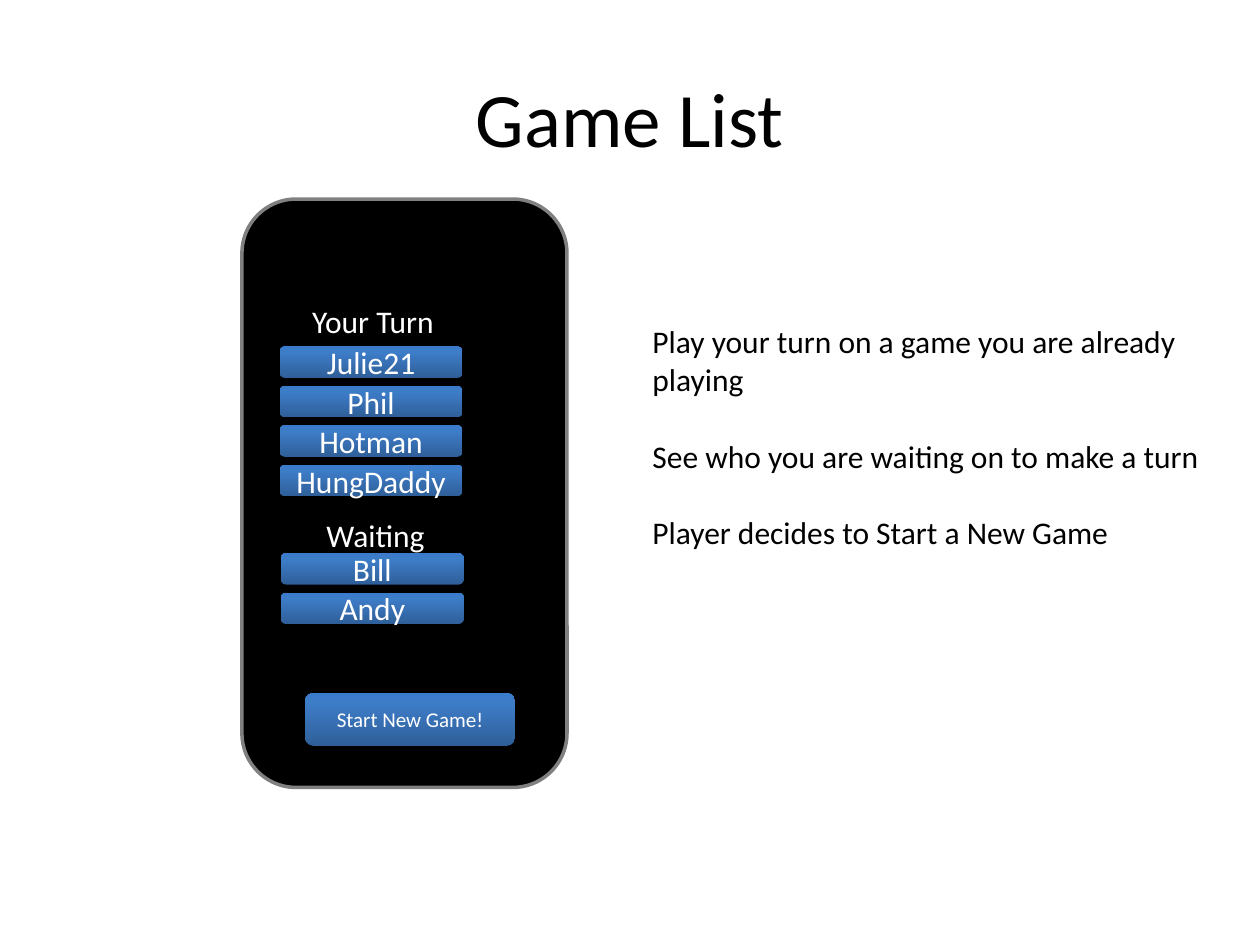
from lxml.etree import SubElement
from pptx import Presentation
from pptx.dml.color import RGBColor
from pptx.enum.shapes import MSO_SHAPE
from pptx.enum.text import MSO_ANCHOR, MSO_AUTO_SIZE, PP_ALIGN
from pptx.oxml.ns import qn
from pptx.util import Inches, Pt

# Content
TITLE = "Game List"
NOTES = [
    "Play your turn on a game you are already playing",
    "See who you are waiting on to make a turn",
    "Player decides to Start a New Game",
]
# Heading, its left and top, player names, left and top of the first button
GAME_LISTS = [
    ("Your Turn", (2.17, 2.35), ["Julie21", "Phil", "Hotman", "HungDaddy"], (2.22, 2.75)),
    ("Waiting", (2.19, 4.05), ["Bill", "Andy"], (2.23, 4.39)),
]
START_LABEL = "Start New Game!"

# Layout in inches
SLIDE_SIZE = (10, 7.5)
TITLE_BOX = (0.5, 0.3, 9, 1.25)
PHONE_BOX = (1.92, 1.58, 2.58, 4.67)
NOTES_BOX = (5.08, 2.51, 4.75, 1.92)
START_BOX = (2.42, 5.5, 1.67, 0.42)
HEADING_SIZE = (1.58, 0.4)
PLAYER_SIZE = (1.45, 0.25)
PLAYER_PITCH = 0.313

THEME = {
    "font": "Calibri",
    "title": 44, "body": 18, "small": 12,
    "dark": "000000", "light": "FFFFFF", "frame": "808080",
    "button": [(0, "2F5F99"), (80, "3D7CC7"), (100, "3A7CCB")],
    "shadow": {"blurRad": Pt(3.1), "dist": Pt(1.8), "dir": 90 * 60000, "rotWithShape": 0},
    "shadow_opacity": 35,
}


def inches(box):
    return [Inches(length) for length in box]


def write(shape, lines, size, color, align=PP_ALIGN.CENTER, gap=0, **frame_format):
    frame = shape.text_frame
    for name, value in {"word_wrap": True, **frame_format}.items():
        setattr(frame, name, value)
    frame.text = "\n".join(lines)
    for index, paragraph in enumerate(frame.paragraphs):
        paragraph.alignment = align
        if index and gap:
            paragraph.space_before = Pt(gap)
        for name, value in {"name": THEME["font"], "size": Pt(THEME[size])}.items():
            setattr(paragraph.font, name, value)
        paragraph.font.color.rgb = RGBColor.from_string(THEME[color])


def add_text(slide, box, lines, color, **text_format):
    textbox = slide.shapes.add_textbox(*inches(box))
    write(textbox, lines, "body", color, auto_size=MSO_AUTO_SIZE.SHAPE_TO_FIT_TEXT, **text_format)


def add_button(shapes, box, label, size):
    button = shapes.add_shape(MSO_SHAPE.ROUNDED_RECTANGLE, *inches(box))
    button.line.fill.background()
    button.shadow.inherit = False
    button.fill.gradient()
    button.fill.gradient_angle = 90
    properties = button._element.spPr

    # Three gradient stops, dark at the bottom
    stops = properties.find(qn("a:gradFill")).find(qn("a:gsLst"))
    for stop in list(stops):
        stops.remove(stop)
    for position, color in THEME["button"]:
        stop = SubElement(stops, qn("a:gs"), pos=str(position * 1000))
        SubElement(stop, qn("a:srgbClr"), val=color)

    # Soft shadow below
    shadow = SubElement(properties.find(qn("a:effectLst")), qn("a:outerShdw"))
    for name, value in THEME["shadow"].items():
        shadow.set(name, str(value))
    shade = SubElement(shadow, qn("a:srgbClr"), val=THEME["dark"])
    SubElement(shade, qn("a:alpha"), val=str(THEME["shadow_opacity"] * 1000))

    write(button, [label], size, "light", vertical_anchor=MSO_ANCHOR.MIDDLE)


def add_phone(slide):
    phone = slide.shapes.add_shape(MSO_SHAPE.ROUNDED_RECTANGLE, *inches(PHONE_BOX))
    phone.shadow.inherit = False
    phone.fill.solid()
    phone.fill.fore_color.rgb = RGBColor.from_string(THEME["dark"])
    phone.line.color.rgb = RGBColor.from_string(THEME["frame"])
    phone.line.width = Pt(2)


def main():
    presentation = Presentation()
    presentation.slide_width, presentation.slide_height = inches(SLIDE_SIZE)
    slide = presentation.slides.add_slide(presentation.slide_layouts[5])

    # Title
    title = slide.shapes.title
    title.left, title.top, title.width, title.height = inches(TITLE_BOX)
    write(title, [TITLE], "title", "dark", vertical_anchor=MSO_ANCHOR.MIDDLE)

    # Phone and explanation, one empty line's height between notes
    add_phone(slide)
    add_text(slide, NOTES_BOX, NOTES, "dark", align=PP_ALIGN.LEFT, gap=22)

    # Game lists
    for heading, heading_corner, players, (left, top) in GAME_LISTS:
        add_text(slide, heading_corner + HEADING_SIZE, [heading], "light")
        group = slide.shapes.add_group_shape()
        for row, player in enumerate(players):
            box = (left, top + row * PLAYER_PITCH, *PLAYER_SIZE)
            add_button(group.shapes, box, player, "body")

    add_button(slide.shapes, START_BOX, START_LABEL, "small")
    presentation.save("out.pptx")


if __name__ == "__main__":
    main()
